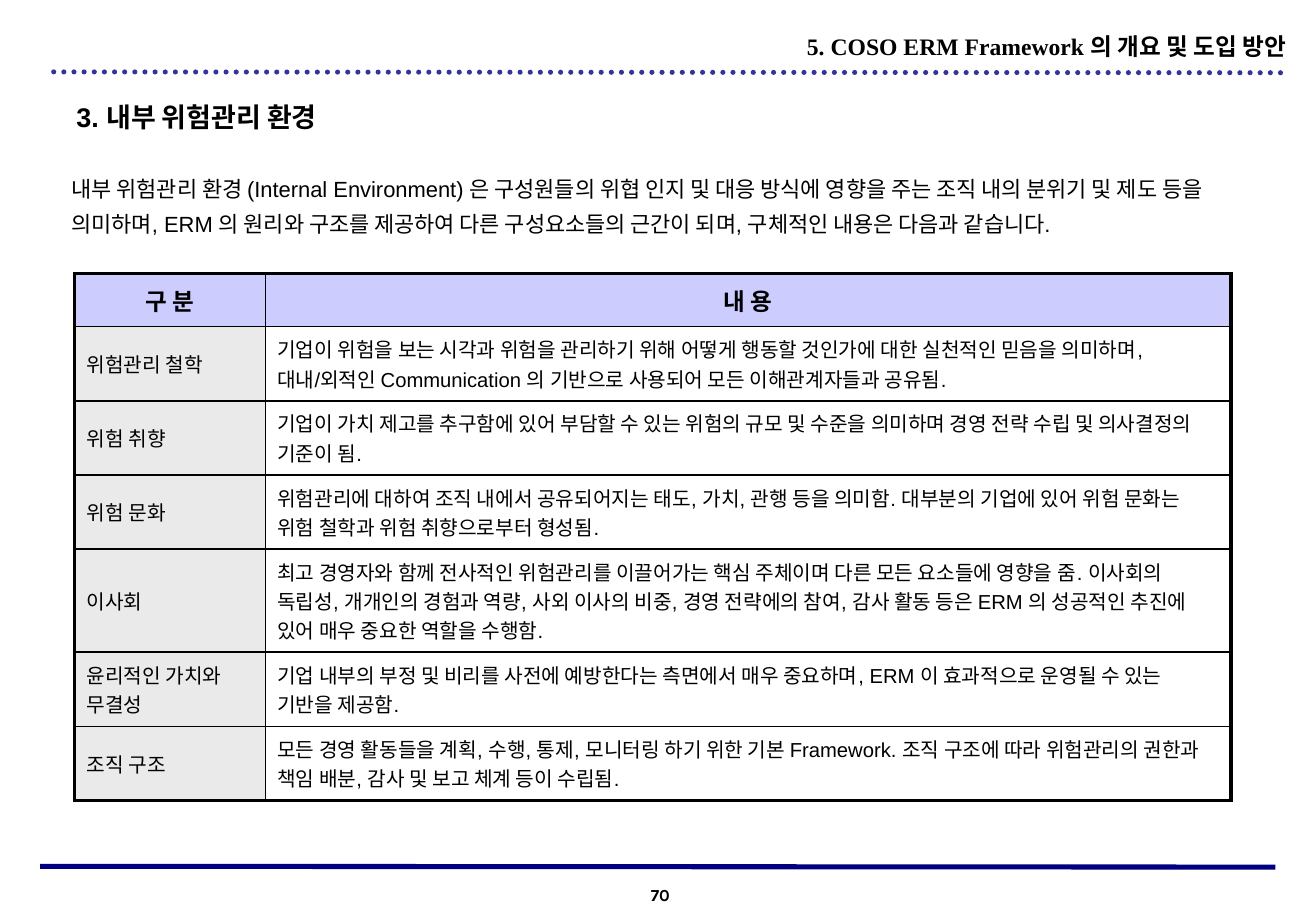
from lxml.etree import SubElement
from pptx import Presentation
from pptx.dml.color import RGBColor
from pptx.enum.dml import MSO_LINE
from pptx.enum.shapes import MSO_CONNECTOR
from pptx.enum.text import MSO_ANCHOR, PP_ALIGN
from pptx.oxml.ns import qn
from pptx.util import Pt

COLORS = {"text": "000000", "header": "CCCCFF", "label": "EAEAEA",
          "border": "000000", "footer": "000080", "dots": "333399"}
OUTER, INNER = 2.25, 1
COLUMN_WIDTHS = (113.04, 572.4)
ROW_HEIGHTS = (31.68, 43.92, 43.92, 43.92, 61.2, 43.92, 43.92)
ROWS = (
    ("구 분", "내 용"),
    ("위험관리 철학", "기업이 위험을 보는 시각과 위험을 관리하기 위해 어떻게 행동할 것인가에 대한 실천적인 믿음을 의미하며, "
     "대내/외적인 Communication 의 기반으로 사용되어 모든 이해관계자들과 공유됨."),
    ("위험 취향", "기업이 가치 제고를 추구함에 있어 부담할 수 있는 위험의 규모 및 수준을 의미하며 경영 전략 수립 및 "
     "의사결정의 기준이 됨."),
    ("위험 문화", "위험관리에 대하여 조직 내에서 공유되어지는 태도, 가치, 관행 등을 의미함. 대부분의 기업에 있어 위험 "
     "문화는 위험 철학과 위험 취향으로부터 형성됨."),
    ("이사회", "최고 경영자와 함께 전사적인 위험관리를 이끌어가는 핵심 주체이며 다른 모든 요소들에 영향을 줌. 이사회의 "
     "독립성, 개개인의 경험과 역량, 사외 이사의 비중, 경영 전략에의 참여, 감사 활동 등은 ERM 의 성공적인 "
     "추진에 있어 매우 중요한 역할을 수행함."),
    ("윤리적인 가치와 무결성", "기업 내부의 부정 및 비리를 사전에 예방한다는 측면에서 매우 중요하며, ERM 이 효과적으로 "
     "운영될 수 있는 기반을 제공함."),
    ("조직 구조", "모든 경영 활동들을 계획, 수행, 통제, 모니터링 하기 위한 기본 Framework. 조직 구조에 따라 위험관리의 "
     "권한과 책임 배분, 감사 및 보고 체계 등이 수립됨."),
)


def write_text(frame, text, size=12, font="Arial", bold=False, align=PP_ALIGN.LEFT, spacing=None):
    """Write one formatted paragraph into a text frame."""
    paragraph = frame.paragraphs[0]
    paragraph.alignment = align
    if spacing:
        paragraph.line_spacing = spacing
    run = paragraph.add_run()
    run.text = text
    run.font.size = Pt(size)
    run.font.name = font
    run.font.bold = bold
    run.font.color.rgb = RGBColor.from_string(COLORS["text"])


def add_text(slide, box, text, wrap=True, anchor=MSO_ANCHOR.TOP, **text_format):
    """Place a text box at left, top, width, height."""
    frame = slide.shapes.add_textbox(*map(Pt, box)).text_frame
    frame.word_wrap = wrap
    frame.vertical_anchor = anchor
    write_text(frame, text, **text_format)


def add_rule(slide, start, end, color, dotted=False):
    """Draw a straight rule, solid or with round dots."""
    rule = slide.shapes.add_connector(MSO_CONNECTOR.STRAIGHT, *map(Pt, start + end))
    rule.line.color.rgb = RGBColor.from_string(COLORS[color])
    rule.line.width = Pt(3)
    if dotted:
        rule.line.dash_style = MSO_LINE.ROUND_DOT
        rule.line._get_or_add_ln().set("cap", "rnd")
    SubElement(rule._element.spPr, qn("a:effectLst"))


def set_borders(cell, widths):
    """Set the left, right, top and bottom borders of a cell."""
    properties = cell._tc.get_or_add_tcPr()
    for index, (side, width) in enumerate(zip("LRTB", widths)):
        line = SubElement(properties, qn(f"a:ln{side}"), w=str(int(Pt(width))))
        fill = SubElement(line, qn("a:solidFill"))
        SubElement(fill, qn("a:srgbClr"), val=COLORS["border"])
        properties.insert(index, line)


def add_header(slide, box):
    """Place the chapter title and its dotted rule."""
    left, top, width, height = box
    add_text(slide, (left + 436, top, 306, 23.76), "5. COSO ERM Framework 의 개요 및 도입 방안",
             wrap=False, size=14, font="Times New Roman", bold=True, align=PP_ALIGN.RIGHT)
    add_rule(slide, (left + width, top + height), (left, top + height - 0.5), "dots", dotted=True)


def add_introduction(slide, box):
    """Place the section heading and the paragraph below it."""
    left, top, width, height = box
    add_text(slide, (left + 2.9, top, 295, 26.64), "3. 내부 위험관리 환경", size=16, bold=True)
    add_text(slide, (left, top + height - 51.12, width, 51.12),
             "내부 위험관리 환경 (Internal Environment) 은 구성원들의 위협 인지 및 대응 방식에 영향을 주는 "
             "조직 내의 분위기 및 제도 등을 의미하며, ERM 의 원리와 구조를 제공하여 다른 구성요소들의 근간이 되며, "
             "구체적인 내용은 다음과 같습니다.", anchor=MSO_ANCHOR.MIDDLE, size=13, spacing=1.3)


def add_environment_table(slide, box):
    """Build the table of environment elements."""
    table = slide.shapes.add_table(len(ROWS), len(COLUMN_WIDTHS), *map(Pt, box)).table
    for column, width in zip(table.columns, COLUMN_WIDTHS):
        column.width = Pt(width)
    for row_index, (row, height) in enumerate(zip(ROWS, ROW_HEIGHTS)):
        table.rows[row_index].height = Pt(height)
        is_header, is_last = row_index == 0, row_index == len(ROWS) - 1
        for column_index, text in enumerate(row):
            cell = table.cell(row_index, column_index)
            cell.vertical_anchor = MSO_ANCHOR.MIDDLE
            is_label = column_index == 0
            if is_header or is_label:
                cell.fill.solid()
                cell.fill.fore_color.rgb = RGBColor.from_string(COLORS["header" if is_header else "label"])
            else:
                cell.fill.background()
            edges = (is_label, not is_label, is_header, is_last)
            set_borders(cell, [OUTER if edge else INNER for edge in edges])
            write_text(cell.text_frame, text, size=14 if is_header else 12, bold=is_header,
                       align=PP_ALIGN.CENTER if is_header else PP_ALIGN.LEFT)


def add_footer(slide, box):
    """Place the closing rule and the page number."""
    left, top, width, height = box
    add_rule(slide, (left + width, top + 0.5), (left, top), "footer")
    add_text(slide, (left + 337, top + height - 19.44, 61.2, 19.44), "70",
             size=10, font="Karla", bold=True, align=PP_ALIGN.CENTER)


def main():
    """Build and save the presentation."""
    presentation = Presentation()
    presentation.slide_width, presentation.slide_height = Pt(780), Pt(540)
    slide = presentation.slides.add_slide(presentation.slide_layouts[6])
    add_footer(slide, (23.8, 513.5, 732.2, 26.5))
    add_header(slide, (27.5, 15.12, 731.5, 28))
    add_introduction(slide, (35.28, 56.16, 706.32, 89.28))
    add_environment_table(slide, (44.2, 162, sum(COLUMN_WIDTHS), sum(ROW_HEIGHTS)))
    presentation.save("out.pptx")


if __name__ == "__main__":
    main()
